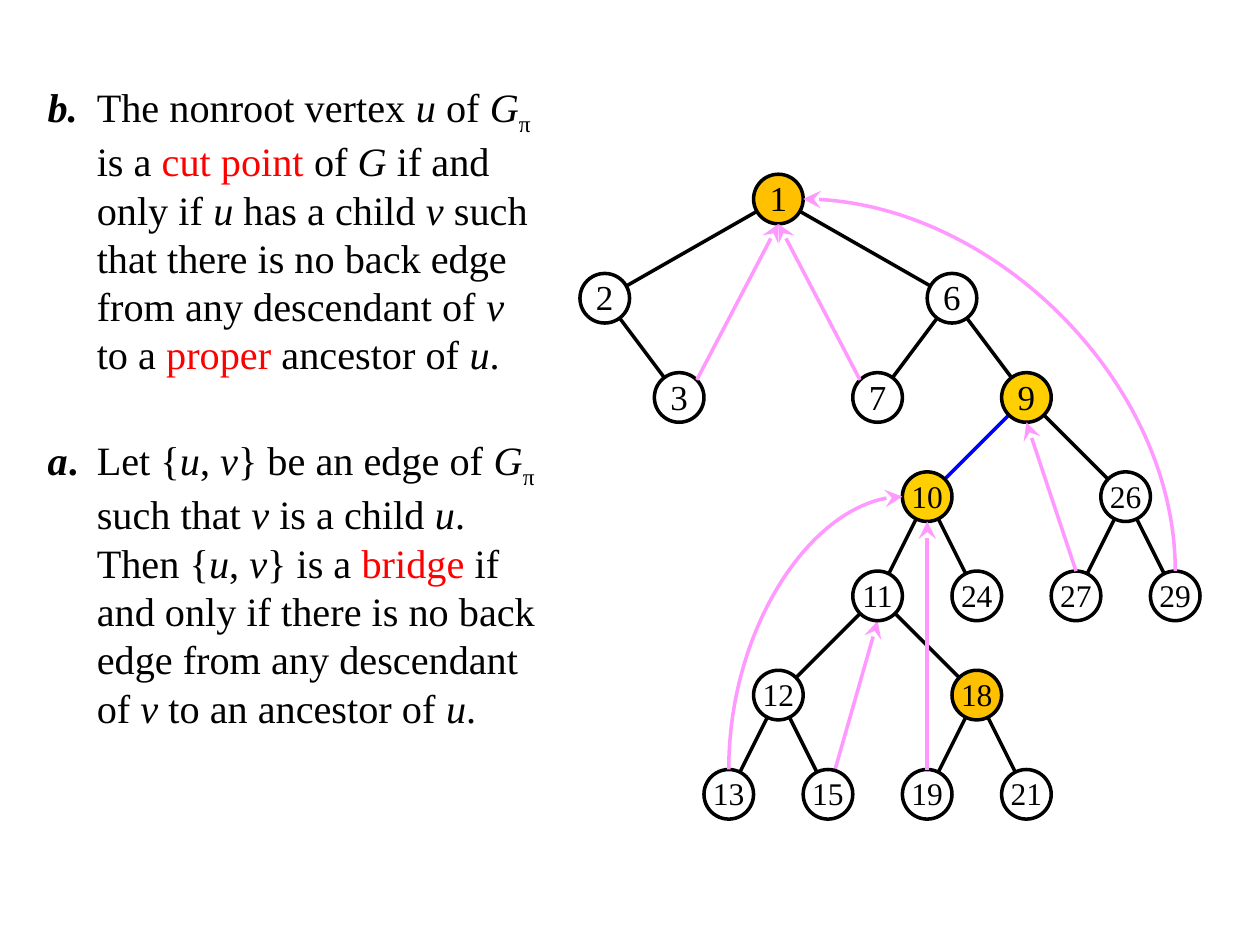
from lxml import etree
from pptx import Presentation
from pptx.dml.color import RGBColor
from pptx.enum.shapes import MSO_CONNECTOR, MSO_SHAPE
from pptx.enum.text import MSO_ANCHOR, PP_ALIGN
from pptx.oxml.ns import qn
from pptx.util import Inches, Pt

STRAIGHT, CURVE = MSO_CONNECTOR.STRAIGHT, MSO_CONNECTOR.CURVE
ELLIPSE = MSO_SHAPE.OVAL
MIDDLE, CENTER = MSO_ANCHOR.MIDDLE, PP_ALIGN.CENTER

FONT = "Times New Roman"
BLACK, WHITE, RED, BLUE = "000000", "FFFFFF", "FF0000", "0000FF"
ORANGE, YELLOW, PINK = "FFC000", "FFCF01", "FF99FF"

GRID = 0.5 / 2.54  # half a centimetre, also the node radius
TREE_LEFT, TREE_TOP, ROW_STEP = 4.8, 1.58, 4

# label: (column, row) of the node centre
NODES = {
    1: (7, 0), 2: (0, 1), 6: (14, 1), 3: (3, 2), 7: (11, 2), 9: (17, 2),
    10: (13, 3), 26: (21, 3), 11: (11, 4), 24: (15, 4), 27: (19, 4),
    29: (23, 4), 12: (7, 5), 18: (15, 5), 13: (5, 6), 15: (9, 6),
    19: (13, 6), 21: (17, 6),
}
FILLS = {1: ORANGE, 18: ORANGE, 9: YELLOW, 10: YELLOW}
CHILDREN = {1: (2, 6), 2: (3,), 6: (7, 9), 9: (10, 26), 10: (11, 24),
            26: (27, 29), 11: (12, 18), 12: (13, 15), 18: (19, 21)}
BRIDGE = (9, 10)

# points on a node, in radii from its centre
MID, TOP, BOTTOM, LEFT, RIGHT = (0, 0), (0, -1), (0, 1), (-1, 0), (1, 0)
UPPER_LEFT, UPPER_RIGHT = (-0.71, -0.71), (0.71, -0.71)
BACK_EDGES = [(3, UPPER_RIGHT, 1, BOTTOM), (7, UPPER_LEFT, 1, BOTTOM),
              (27, TOP, 9, BOTTOM), (19, TOP, 10, BOTTOM)]

# runs are (text, style): b bold, i italic, r red, s subscript
CUT_POINT = [
    ("b.", "bi"), ("\tThe nonroot vertex ", ""), ("u", "i"), (" of ", ""),
    ("G", "i"), ("π", "s"), (" is a ", ""), ("cut point ", "r"), ("of ", ""),
    ("G", "i"), (" if and only if ", ""), ("u", "i"), (" has a child ", ""),
    ("v", "i"),
    (" such that there is no back edge from any descendant of ", ""),
    ("v", "i"), (" to a ", ""), ("proper", "r"), (" ancestor of ", ""),
    ("u", "i"), (".", ""),
]
BRIDGE_RULE = [
    ("a", "bi"), (".", "b"), ("\tLet {", ""), ("u", "i"), (", ", ""),
    ("v", "i"), ("} be an edge of ", ""), ("G", "i"), ("π", "s"),
    (" such that ", ""), ("v", "i"), (" is a child ", ""), ("u", "i"),
    (". Then {", ""), ("u", "i"), (", ", ""), ("v", "i"), ("} is a ", ""),
    ("bridge", "r"),
    (" if and only if there is no back edge from any descendant of ", ""),
    ("v", "i"), (" to an ancestor of ", ""), ("u", "i"), (".", ""),
]


def rgb(color):
    return RGBColor.from_string(color)


def node_point(label, side=MID):
    column, row = NODES[label]
    return (TREE_LEFT + GRID * (column + side[0]),
            TREE_TOP + GRID * (ROW_STEP * row + side[1]))


def add_run(p, text, size, style=""):
    r = p.add_run()
    r.text = text
    r.font.name, r.font.size = FONT, Pt(size)
    r.font.bold, r.font.italic = "b" in style, "i" in style
    r.font.color.rgb = rgb(RED if "r" in style else BLACK)
    if "s" in style:
        r._r.get_or_add_rPr().set("baseline", "-25000")


def add_statements(slide, statements):
    box = slide.shapes.add_textbox(Inches(0.28), Inches(0.6),
                                   Inches(4.13), Inches(5.51))
    tf = box.text_frame
    tf.word_wrap = True
    for i, runs in enumerate(statements):
        p = tf.add_paragraph() if i else tf.paragraphs[0]
        p.space_before = Pt(32.5 if i else 0)
        pPr = p._p.get_or_add_pPr()
        pPr.set("marL", str(Inches(0.39)))
        pPr.set("indent", str(-Inches(0.39)))
        for text, style in runs:
            add_run(p, text, 23, style)


def add_line(slide, start, end, color, arrow=False, kind=STRAIGHT):
    line = slide.shapes.add_connector(
        kind, *(Inches(v) for v in (*start, *end)))
    line.line.color.rgb = rgb(color)
    line.line.width = Pt(2)
    spPr = line._element.spPr
    if arrow:
        etree.SubElement(spPr.get_or_add_ln(), qn("a:tailEnd"),
                         type="stealth", w="lg", len="lg")
    etree.SubElement(spPr, qn("a:effectLst"))
    return line


def add_back_curve(slide, start, end, **turn):
    """Quarter curve that leaves upwards; its frame is turned a right angle."""
    mid_x, mid_y = (start[0] + end[0]) / 2, (start[1] + end[1]) / 2
    half_w, half_h = abs(end[1] - start[1]) / 2, abs(end[0] - start[0]) / 2
    curve = add_line(slide, (mid_x - half_w, mid_y - half_h),
                     (mid_x + half_w, mid_y + half_h), PINK, True, CURVE)
    spPr = curve._element.spPr
    spPr.find(qn("a:prstGeom")).set("prst", "curvedConnector2")
    for name, value in turn.items():
        spPr.find(qn("a:xfrm")).set(name, value)


def add_node(slide, label):
    x, y = node_point(label)
    sp = slide.shapes.add_shape(ELLIPSE, Inches(x - GRID), Inches(y - GRID),
                                Inches(2 * GRID), Inches(2 * GRID))
    sp.shadow.inherit = False
    sp.fill.solid()
    sp.fill.fore_color.rgb = rgb(FILLS.get(label, WHITE))
    sp.line.color.rgb = rgb(BLACK)
    sp.line.width = Pt(2)
    tf = sp.text_frame
    tf.word_wrap = False
    tf.vertical_anchor = MIDDLE
    tf.margin_top, tf.margin_bottom = Inches(0.04), Inches(0.06)
    p = tf.paragraphs[0]
    p.alignment = CENTER
    add_run(p, str(label), 20 if label < 10 else 18)


def main():
    prs = Presentation()
    prs.slide_width, prs.slide_height = Inches(10), Inches(7.5)
    slide = prs.slides.add_slide(prs.slide_layouts[6])

    add_line(slide, node_point(15), node_point(11, BOTTOM), PINK, True)
    add_statements(slide, [CUT_POINT, BRIDGE_RULE])
    for parent, children in CHILDREN.items():
        for child in children:
            color = BLUE if (parent, child) == BRIDGE else BLACK
            add_line(slide, node_point(parent), node_point(child), color)
    for label in NODES:
        add_node(slide, label)
    for source, source_side, target, target_side in BACK_EDGES:
        add_line(slide, node_point(source, source_side),
                 node_point(target, target_side), PINK, True)
    add_back_curve(slide, node_point(29, TOP), node_point(1, RIGHT),
                   rot="16200000", flipV="1")
    add_back_curve(slide, node_point(13, TOP), node_point(10, LEFT),
                   rot="5400000", flipH="1", flipV="1")
    prs.save("out.pptx")


if __name__ == "__main__":
    main()
